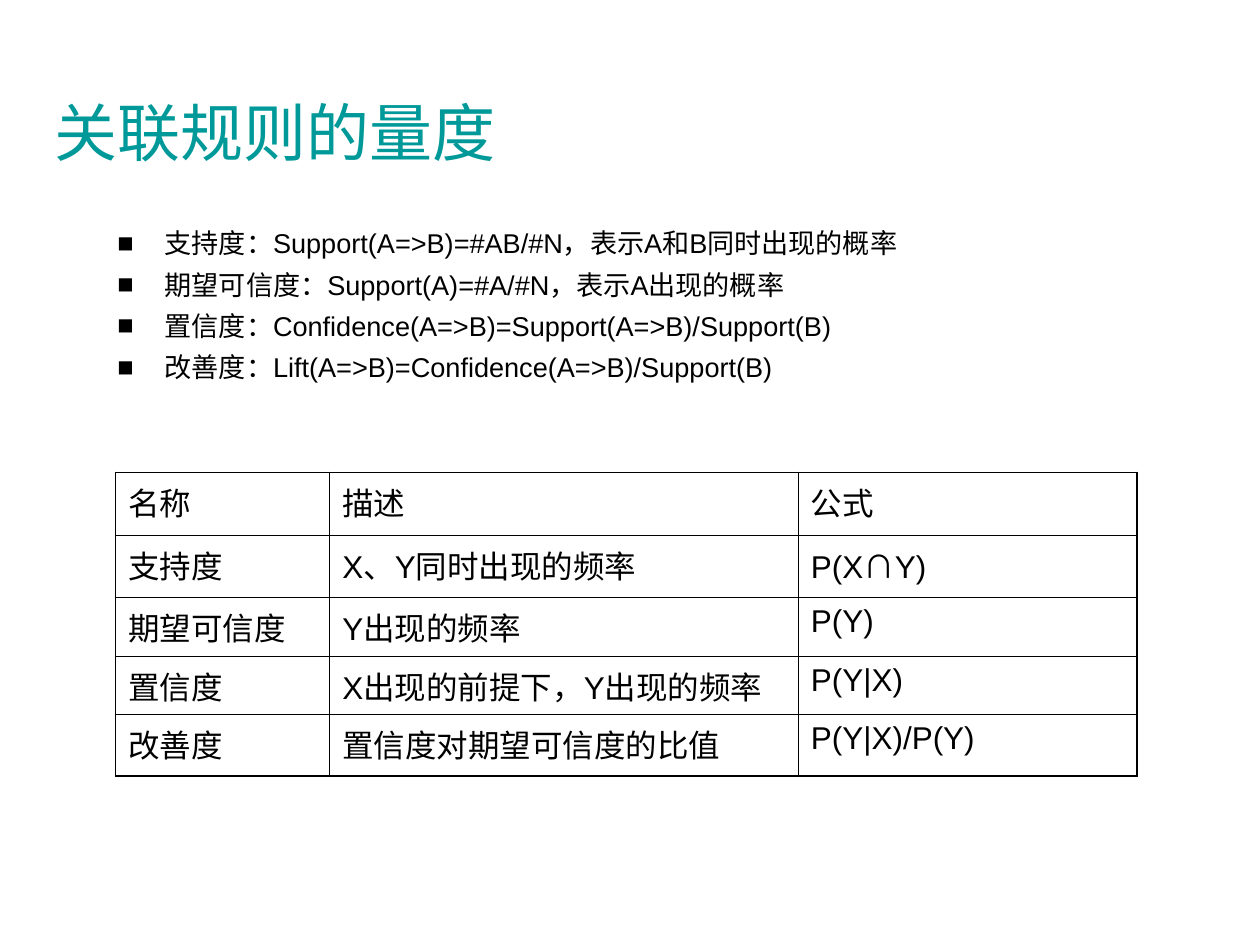
"""Build a slide on the measures of association rules."""
import itertools
import pptx
import pptx.dml.color
import pptx.enum.text
import pptx.oxml
import pptx.oxml.ns
import pptx.util
from lxml import etree

Pt = pptx.util.Pt
LATIN, HAN = "Arial", "Noto Sans CJK SC"
BLACK, TEAL = "000000", "009999"
THIN, THICK = 0.45, 1.08

TITLE = "关联规则的量度"
POINTS = [
    "支持度：Support(A=>B)=#AB/#N，表示A和B同时出现的概率",
    "期望可信度：Support(A)=#A/#N，表示A出现的概率",
    "置信度：Confidence(A=>B)=Support(A=>B)/Support(B)",
    "改善度：Lift(A=>B)=Confidence(A=>B)/Support(B)",
]
ROWS = [
    ("名称", "描述", "公式"),
    ("支持度", "X、Y同时出现的频率", "P(X∩Y)"),
    ("期望可信度", "Y出现的频率", "P(Y)"),
    ("置信度", "X出现的前提下，Y出现的频率", "P(Y|X)"),
    ("改善度", "置信度对期望可信度的比值", "P(Y|X)/P(Y)"),
]
WIDTHS = [122.4, 267.84, 193.68]
HEIGHTS = [36, 35.5, 33.6, 33.3, 35]


def add(parent, tag, **attrs):
    node = etree.SubElement(parent, pptx.oxml.ns.qn(tag))
    for key, val in attrs.items():
        node.set(key, str(val))
    return node


def paint(run, size, hue, face=LATIN):
    font = run.font
    font.size, font.name = Pt(size), face
    font.color.rgb = pptx.dml.color.RGBColor.from_string(hue)
    add(run._r.get_or_add_rPr(), "a:ea", typeface=HAN)


def box(slide, left, top, width, height, lines, size, hue):
    frame = slide.shapes.add_textbox(Pt(left), Pt(top), Pt(width), Pt(height)).text_frame
    frame.word_wrap = True
    frame.text = "\n".join(lines)
    for para in frame.paragraphs:
        paint(para.runs[0], size, hue)
    return frame


def bullet(para):
    para.space_before = Pt(5)
    props = para._p.get_or_add_pPr()
    props.set("marL", str(Pt(27)))
    props.set("indent", str(-Pt(27)))
    add(add(props, "a:buClr"), "a:srgbClr", val=BLACK)
    add(props, "a:buFont", typeface=LATIN)
    add(props, "a:buChar", char="■")


def edge(cell, side, width):
    line = add(cell._tc.get_or_add_tcPr(), "a:" + side, w=int(Pt(width)))
    add(add(line, "a:solidFill"), "a:srgbClr", val=BLACK)


def is_latin(char):
    return char.isascii() or char == "、"


def fill(cell, text, row, col):
    para = cell.text_frame.paragraphs[0]
    para.space_before = Pt(4.5)
    parts = [(True, text)] if row == 0 else itertools.groupby(text, is_latin)
    for latin, chars in parts:
        run = para.add_run()
        run.text = "".join(chars)
        paint(run, 18, BLACK, LATIN if latin else HAN)
    outer = {"lnL": col == 0, "lnR": col == len(WIDTHS) - 1,
             "lnT": row == 0, "lnB": row == len(ROWS) - 1}
    for side, out in outer.items():
        edge(cell, side, THICK if out else THIN)
    cell.fill.background()


def main():
    deck = pptx.Presentation()
    deck.slide_width, deck.slide_height = Pt(720), Pt(540)
    slide = deck.slides.add_slide(deck.slide_layouts[6])

    title = box(slide, 24, 42, 473, 66, [TITLE], 36, TEAL)
    title.vertical_anchor = pptx.enum.text.MSO_ANCHOR.MIDDLE
    body = box(slide, 60, 126, 594, 98, POINTS, 15.5, BLACK)
    for para in body.paragraphs:
        bullet(para)

    table = slide.shapes.add_table(len(ROWS), len(WIDTHS), Pt(66), Pt(270),
                                   Pt(sum(WIDTHS)), Pt(sum(HEIGHTS))).table
    table.first_row = table.horz_banding = False
    for col, width in zip(table.columns, WIDTHS):
        col.width = Pt(width)
    for row, height in zip(table.rows, HEIGHTS):
        row.height = Pt(height)
    for r, texts in enumerate(ROWS):
        for c, text in enumerate(texts):
            fill(table.cell(r, c), text, r, c)

    deck.save("out.pptx")


if __name__ == "__main__":
    main()
